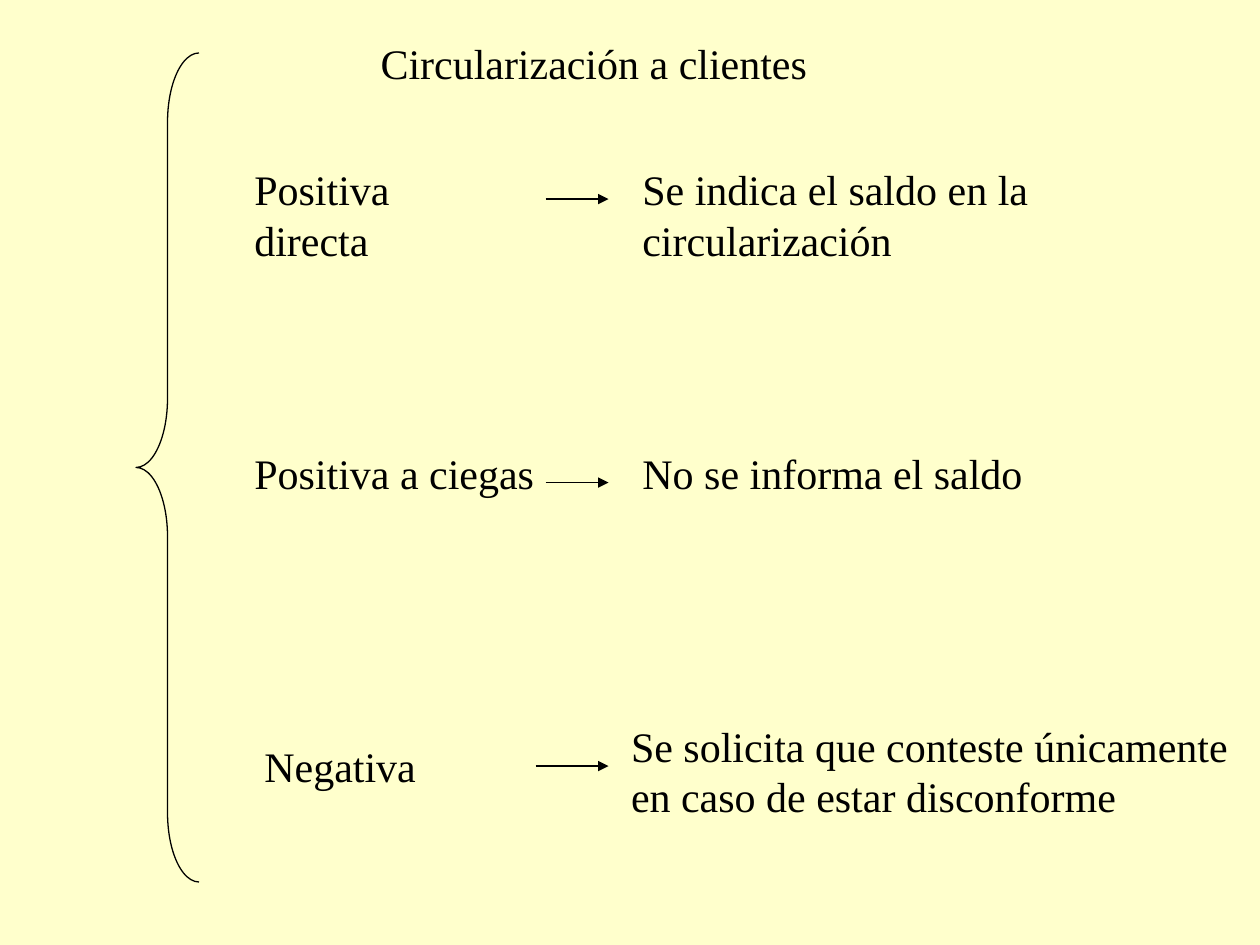
from dataclasses import dataclass

from lxml import etree
from pptx import Presentation
from pptx.dml.color import RGBColor
from pptx.enum import shapes, text
from pptx.oxml import ns
from pptx.util import Inches, Pt


@dataclass(frozen=True)
class Theme:
    """Colours, font and sizes of the slide."""
    back: RGBColor = RGBColor(0xFF, 0xFF, 0xCC)
    ink: RGBColor = RGBColor(0, 0, 0)
    face: str = "Times New Roman"
    size: Pt = Pt(24)
    rule: Pt = Pt(0.75)


LOOK = Theme()
FRAME = {
    "margin_left": Inches(0.1), "margin_right": Inches(0.1),
    "margin_top": Inches(0.05), "margin_bottom": Inches(0.05),
    "vertical_anchor": text.MSO_ANCHOR.TOP,
    "auto_size": text.MSO_AUTO_SIZE.SHAPE_TO_FIT_TEXT,
}
PARA = {"alignment": text.PP_ALIGN.LEFT, "line_spacing": 1.0, "space_before": Pt(0)}
FONT = {"name": LOOK.face, "size": LOOK.size}


def apply(item, style):
    """Set each attribute of item from the style."""
    for key, value in style.items():
        setattr(item, key, value)


def write(shape, words, wrap):
    """Fill a shape with formatted paragraphs."""
    frame = shape.text_frame
    frame.text = words
    apply(frame, {**FRAME, "word_wrap": wrap})
    for para in frame.paragraphs:
        apply(para, PARA)
        apply(para.font, FONT)
        para.font.color.rgb = LOOK.ink


def stroke(line):
    """Give a line the theme's ink and width."""
    line.color.rgb = LOOK.ink
    line.width = LOOK.rule


def add_title(slide, box, words):
    """Place the title in its box."""
    title = slide.shapes.title
    apply(title, dict(zip(("left", "top", "width", "height"), map(Inches, box))))
    write(title, words, True)


def add_label(slide, box, words):
    """Place a text label in its box."""
    write(slide.shapes.add_textbox(*map(Inches, box)), words, False)


def add_brace(slide, box):
    """Draw the open brace that spans the branches."""
    brace = slide.shapes.add_shape(
        shapes.MSO_SHAPE.LEFT_BRACE, *map(Inches, box))
    brace.shadow.inherit = False
    brace.adjustments[0] = 1.1
    brace.fill.background()
    stroke(brace.line)


def add_arrow(slide, left, right, y):
    """Draw a level arrow from left to right."""
    arrow = slide.shapes.add_connector(
        shapes.MSO_CONNECTOR.STRAIGHT, *map(Inches, (left, y, right, y)))
    stroke(arrow.line)
    etree.SubElement(arrow.line._get_or_add_ln(), ns.qn("a:tailEnd"), type="triangle")
    etree.SubElement(arrow._element.spPr, ns.qn("a:effectLst"))


def add_branch(slide, box, term, note, start):
    """Place a term, its arrow and its note relative to the box."""
    x, y, width, height = box
    (dx, dy, wide), name = term
    add_label(slide, (x + dx, y + dy, wide, 0.5), name)
    add_arrow(slide, x + start, x + 2.91, y + 0.33)
    (dx, dy, wide, high), words = note
    add_label(slide, (x + dx, y + dy, wide, high), words)


BRANCHES = [
    (1.25, ((0, 0, 2.26), "Positiva directa"),
     ((3.08, 0, 3.34, 0.9), "Se indica el saldo en la\ncircularización"), 2.41),
    (3.5, ((0, 0, 2.42), "Positiva a ciegas"),
     ((3.08, 0, 3.22, 0.5), "No se informa el saldo"), 2.41),
    (5.75, ((0.08, 0.08, 1.4), "Negativa"),
     ((2.99, -0.08, 5.02, 0.9),
      "Se solicita que conteste únicamente\nen caso de estar disconforme"), 2.33),
]


def main():
    """Build and save the slide."""
    deck = Presentation()
    deck.slide_width, deck.slide_height = Inches(10), Inches(7.5)
    slide = deck.slides.add_slide(deck.slide_layouts.get_by_name("Title Only"))
    fill = slide.background.fill
    fill.solid()
    fill.fore_color.rgb = LOOK.back
    add_title(slide, (2.92, 0.25, 4.75, 0.5), "Circularización a clientes")
    add_brace(slide, (1.08, 0.42, 0.5, 6.58))
    for top, term, note, start in BRANCHES:
        add_branch(slide, (1.92, top, 8, 0.9), term, note, start)
    deck.save("out.pptx")


if __name__ == "__main__":
    main()
